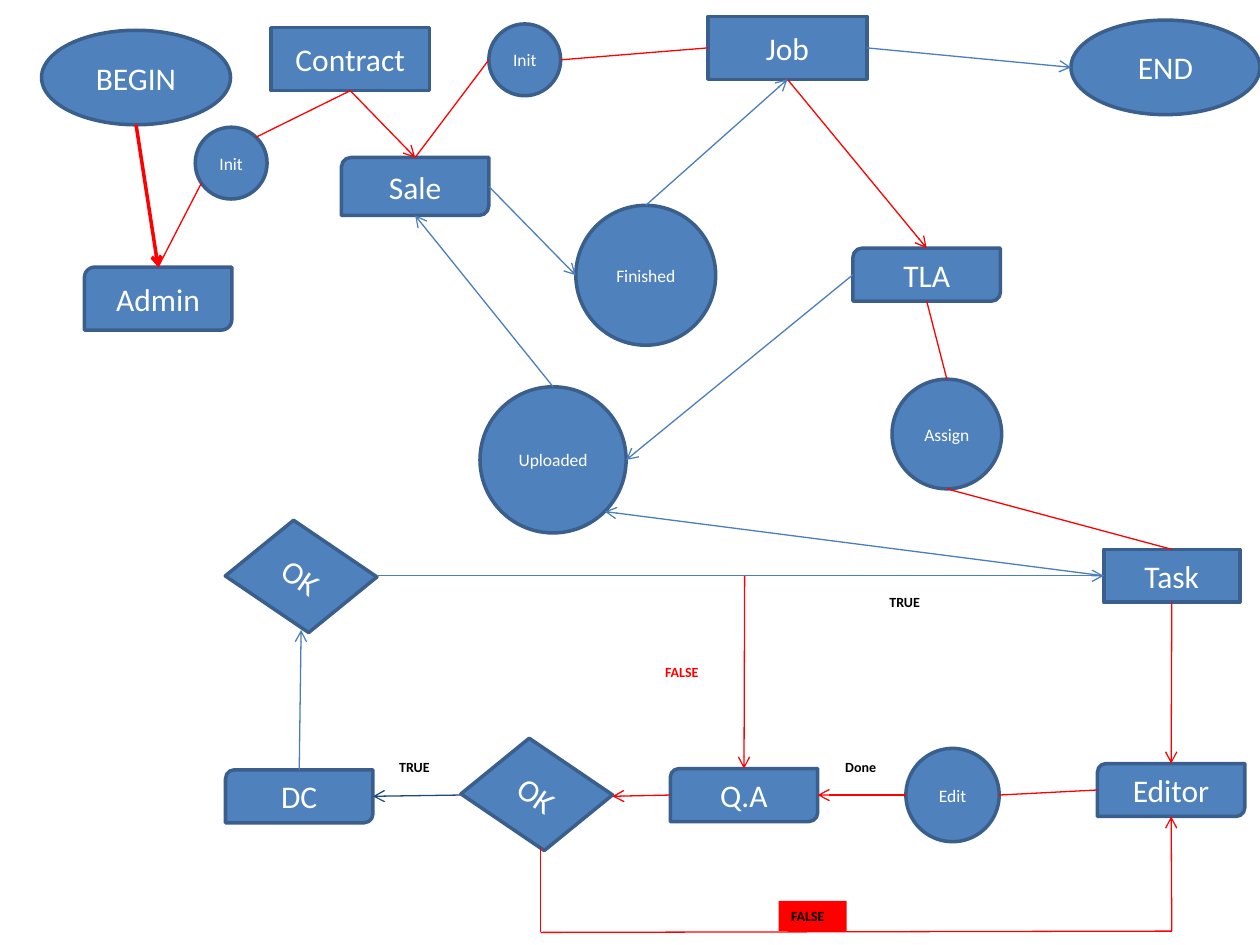
import pptx
import pptx.dml.color
import pptx.enum.shapes
import pptx.enum.text
import pptx.oxml
import pptx.util
from pptx.util import Inches

RGBColor = pptx.dml.color.RGBColor
BLUE = RGBColor(0x4F, 0x81, 0xBD)
OUTLINE = RGBColor(0x3A, 0x5F, 0x8C)
FLOW = RGBColor(0x4B, 0x7E, 0xBC)
NAVY = RGBColor(0x1F, 0x49, 0x7D)
RED = RGBColor(0xFF, 0x00, 0x00)
WHITE = RGBColor(0xFF, 0xFF, 0xFF)
BLACK = RGBColor(0x00, 0x00, 0x00)

MSO = pptx.enum.shapes.MSO_SHAPE
RECT, ROLE, CIRCLE, CHECK = (
    MSO.RECTANGLE, MSO.ROUND_2_DIAG_RECTANGLE, MSO.OVAL, MSO.FLOWCHART_DATA)
STRAIGHT = pptx.enum.shapes.MSO_CONNECTOR.STRAIGHT
TOP, LEFT, BOTTOM, RIGHT = range(4)
SIDE_POINTS = {TOP: (0.5, 0), LEFT: (0, 0.5), BOTTOM: (0.5, 1), RIGHT: (1, 0.5)}
A_NS = 'xmlns:a="http://schemas.openxmlformats.org/drawingml/2006/main"'

prs = pptx.Presentation()
prs.slide_width, prs.slide_height = Inches(10), Inches(7.5)
s = prs.slides.add_slide(prs.slide_layouts[6])


def write(sp, text, **font):
    r = sp.text_frame.paragraphs[0].add_run()
    r.text = text
    r.font.color.rgb = font.pop("color")
    for name, value in {"name": "Calibri", **font}.items():
        setattr(r.font, name, value)


def locate(end):
    """Turn (node key, side) or plain (x, y) inches into a slide position."""
    if end[0] not in nodes:
        return Inches(end[0]), Inches(end[1])
    sp = nodes[end[0]]
    fx, fy = SIDE_POINTS[end[1]]
    return int(sp.left + fx * sp.width), int(sp.top + fy * sp.height)


# key, text, shape, left, top, width, height, text size
node_specs = [
    ("begin", "BEGIN", CIRCLE, 0.33, 0.24, 1.5, 0.75, 18),
    ("end", "END", CIRCLE, 8.5, 0.16, 1.5, 0.75, 18),
    ("contract", "Contract", RECT, 2.15, 0.22, 1.26, 0.5, 18),
    ("job", "Job", RECT, 5.62, 0.13, 1.26, 0.5, 18),
    ("task", "Task", RECT, 8.76, 4.36, 1.08, 0.42, 18),
    ("admin", "Admin", ROLE, 0.67, 2.12, 1.17, 0.5, 18),
    ("sale", "Sale", ROLE, 2.71, 1.25, 1.17, 0.46, 18),
    ("tla", "TLA", ROLE, 6.77, 1.97, 1.17, 0.42, 18),
    ("editor", "Editor", ROLE, 8.71, 6.06, 1.17, 0.42, 18),
    ("qa", "Q.A", ROLE, 5.32, 6.1, 1.17, 0.42, 18),
    ("dc", "DC", ROLE, 1.79, 6.11, 1.17, 0.42, 18),
    ("contract init", "Init", CIRCLE, 1.55, 1.01, 0.57, 0.57, 10),
    ("job init", "Init", CIRCLE, 3.88, 0.19, 0.57, 0.57, 10),
    ("assign", "Assign", CIRCLE, 7.08, 3.01, 0.87, 0.87, 10),
    ("edit", "Edit", CIRCLE, 7.19, 5.94, 0.74, 0.74, 10),
    ("uploaded", "Uploaded", CIRCLE, 3.81, 3.07, 1.16, 1.16, 10),
    ("finished", "Finished", CIRCLE, 4.57, 1.63, 1.11, 1.11, 10),
    ("qa check", "OK", CHECK, 3.76, 5.97, 1, 0.67, 18),
    ("dc check", "OK", CHECK, 1.89, 4.24, 1, 0.67, 18),
]
nodes = {}
for key, text, kind, x, y, w, h, size in node_specs:
    sp = s.shapes.add_shape(kind, Inches(x), Inches(y), Inches(w), Inches(h))
    sp.shadow.inherit = False
    sp.fill.solid()
    sp.fill.fore_color.rgb = BLUE
    sp.line.color.rgb = OUTLINE
    sp.line.width = pptx.util.Pt(2)
    if kind == CHECK:
        sp.rotation = 34.2
    sp.text_frame.vertical_anchor = pptx.enum.text.MSO_ANCHOR.MIDDLE
    sp.text_frame.paragraphs[0].alignment = pptx.enum.text.PP_ALIGN.CENTER
    write(sp, text, size=pptx.util.Pt(size), color=WHITE)
    nodes[key] = sp

# start, finish, colour, arrowhead, width
links = [
    (("begin", BOTTOM), ("admin", TOP), RED, True, 2),
    (("admin", TOP), (1.6, 1.45), RED, False, 0.75),
    ((2.03, 1.09), ("contract", BOTTOM), RED, False, 0.75),
    (("contract", BOTTOM), ("sale", TOP), RED, True, 0.75),
    (("sale", TOP), ("job init", LEFT), RED, False, 0.75),
    (("job init", RIGHT), ("job", LEFT), RED, False, 0.75),
    (("job", BOTTOM), ("tla", TOP), RED, True, 0.75),
    (("assign", TOP), ("tla", BOTTOM), RED, False, 0.75),
    (("task", TOP), ("assign", BOTTOM), RED, False, 0.75),
    (("task", BOTTOM), ("editor", TOP), RED, True, 0.75),
    (("edit", RIGHT), ("editor", LEFT), RED, False, 0.75),
    (("edit", LEFT), ("qa", RIGHT), RED, True, 0.75),
    (("qa", LEFT), (4.86, 6.32), RED, True, 0.75),
    ((4.29, 6.72), (4.29, 7.4), RED, False, 0.75),
    ((4.29, 7.4), (9.3, 7.39), RED, False, 0.75),
    ((9.3, 7.39), ("editor", BOTTOM), RED, True, 0.75),
    ((3.65, 6.31), ("dc", RIGHT), NAVY, True, 0.75),
    (("dc", TOP), (2.39, 5), FLOW, True, 0.75),
    ((2.99, 4.57), ("task", LEFT), FLOW, True, 0.75),
    ((5.91, 4.57), ("qa", TOP), RED, True, 0.75),
    (("task", LEFT), (4.8, 4.06), FLOW, True, 0.75),
    (("tla", LEFT), ("uploaded", RIGHT), FLOW, True, 0.75),
    (("uploaded", TOP), ("sale", BOTTOM), FLOW, True, 0.75),
    (("sale", RIGHT), ("finished", LEFT), FLOW, True, 0.75),
    (("finished", TOP), ("job", BOTTOM), FLOW, True, 0.75),
    (("job", RIGHT), ("end", LEFT), FLOW, True, 0.75),
]
for start, finish, color, arrow, width in links:
    line = s.shapes.add_connector(STRAIGHT, *locate(start), *locate(finish))
    line.line.color.rgb = color
    line.line.width = pptx.util.Pt(width)
    for end, connect in ((start, line.begin_connect), (finish, line.end_connect)):
        # Only plain rectangles number their sides top, left, bottom, right
        if end[0] in nodes and nodes[end[0]].auto_shape_type == RECT:
            connect(nodes[end[0]], end[1])
    if arrow:
        line.line._get_or_add_ln().append(
            pptx.oxml.parse_xml(f'<a:tailEnd {A_NS} type="arrow"/>'))
    line._element.spPr.append(pptx.oxml.parse_xml(f"<a:effectLst {A_NS}/>"))

# text, left, top, width, text colour, fill
labels = [
    ("Done", 6.61, 5.97, 0.54, BLACK, None),
    ("TRUE", 3.07, 5.97, 0.54, BLACK, None),
    ("FALSE", 6.18, 7.15, 0.54, BLACK, RED),
    ("TRUE", 6.96, 4.66, 0.72, BLACK, None),
    ("FALSE", 5.18, 5.22, 0.72, RED, None),
]
for text, x, y, w, color, fill in labels:
    sp = s.shapes.add_textbox(Inches(x), Inches(y), Inches(w), Inches(0.24))
    sp.text_frame.word_wrap = True
    if fill:
        sp.fill.solid()
        sp.fill.fore_color.rgb = fill
    write(sp, text, size=pptx.util.Pt(8), bold=True, color=color)

prs.save("out.pptx")
